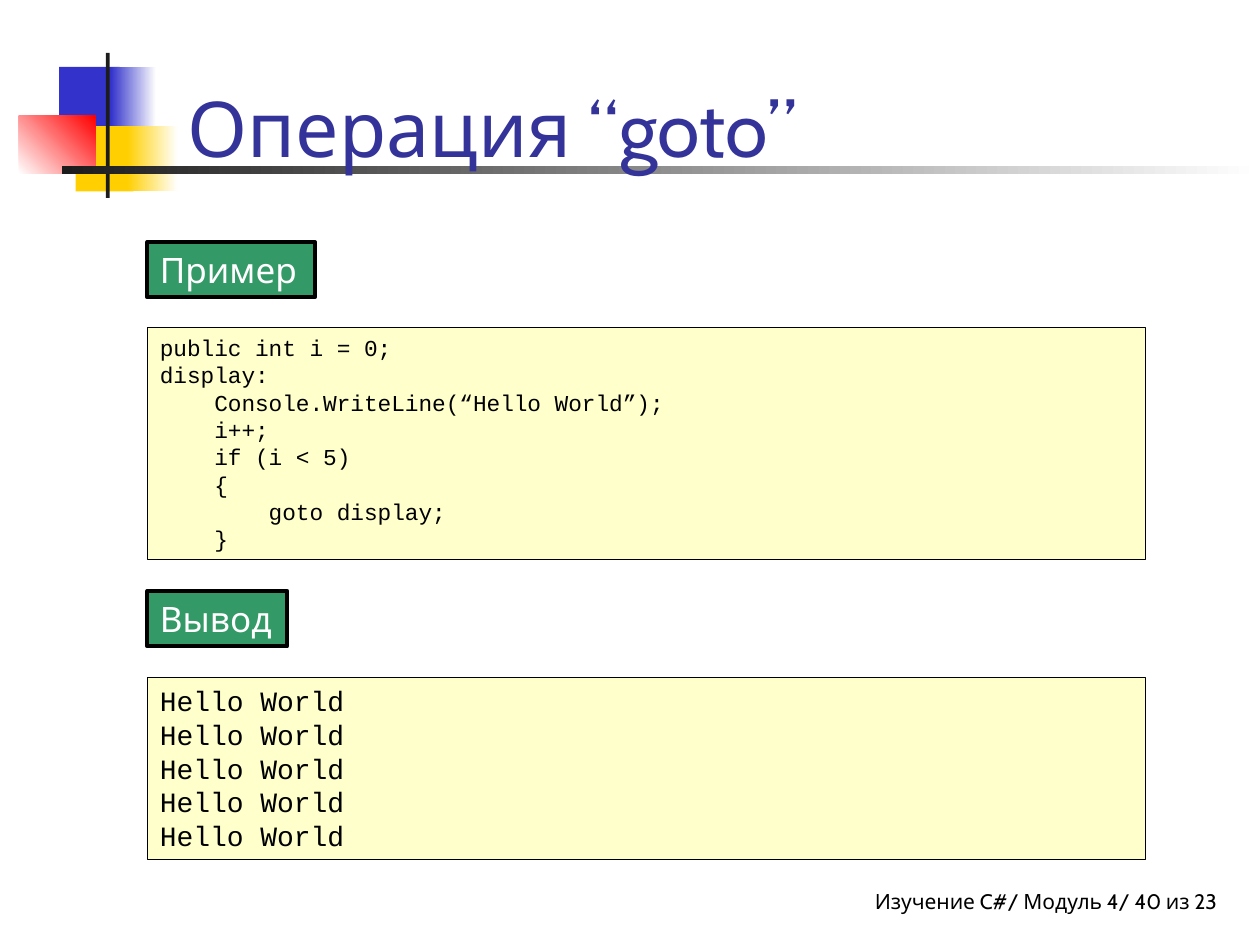
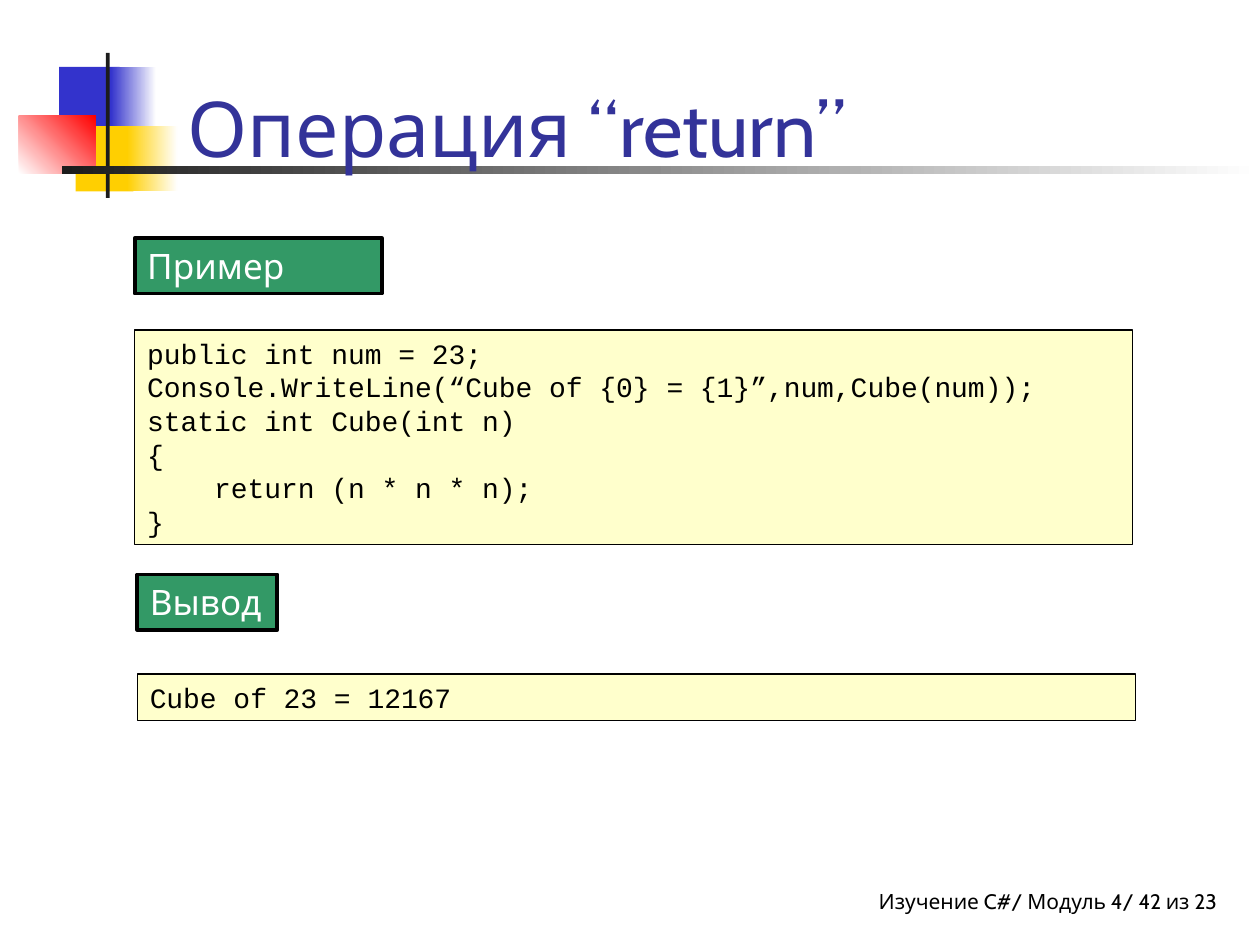
from pptx import Presentation
from pptx.dml.color import RGBColor
from pptx.enum.shapes import MSO_SHAPE as Shape
from pptx.enum.text import MSO_ANCHOR as Anchor, MSO_AUTO_SIZE as AutoSize, PP_ALIGN as Align
from pptx.util import Inches, Pt

TITLE_ONLY = 5
TITLE_AT = (1.39, 0.17, 8.52, 1.25)
FOOTER_AT = (4.58, 7, 5.08, 0.33)
LABEL_HEIGHT = 0.44
CODE_WIDTH = 7.92

TITLE_FONT = {"name": "Cabin", "size": 44, "color": "333399"}
FOOTER_FONT = {"name": "Cabin", "size": 12, "color": "000000"}
LABEL_FONT = {"name": "Cabin", "size": 20, "color": "FFFFFF"}
CODE_FONT = {"name": "Courier New", "color": "000000"}

EMBLEM = [
    ((0.47, 0.53, 0.48, 0.52), ["3333CC"], 0),
    ((0.88, 0.53, 0.36, 0.52), ["3333CC", "FFFFFF"], 0),
    ((0.6, 1, 0.46, 0.52), ["FFCF01"], 0),
    ((1.01, 1, 0.4, 0.52), ["FFCF01", "FFFFFF"], 0),
    ((0.15, 0.92, 0.61, 0.46), ["FFFFFF", "FF0000"], 45),
    ((0.84, 0.42, 0.03, 1.15), ["1C1C1C"], 0),
    ((0.49, 1.32, 9.51, 0.06), ["1C1C1C", "FFFFFF"], 0),
]

SLIDES = [
    {
        "title": "Операция “goto”",
        "number": 40,
        "sections": [
            {
                "label": "Пример", "label_at": (1.17, 1.92), "label_width": 1.33,
                "code_at": (1.17, 2.6), "code_height": 1.84, "code_size": 13,
                "code": [
                    "public int i = 0;",
                    "display:",
                    "    Console.WriteLine(“Hello World”);",
                    "    i++;",
                    "    if (i < 5)",
                    "    {",
                    "        goto display;",
                    "    }",
                ],
            },
            {
                "label": "Вывод", "label_at": (1.17, 4.69), "label_width": 1.11,
                "code_at": (1.17, 5.38), "code_height": 1.44, "code_size": 16,
                "code": ["Hello World"] * 5,
            },
        ],
    },
    {
        "title": "Операция “return”",
        "number": 42,
        "sections": [
            {
                "label": "Пример", "label_at": (1.07, 1.89), "label_width": 1.96,
                "code_at": (1.07, 2.62), "code_height": 1.7, "code_size": 16,
                "code": [
                    "public int num = 23;",
                    "Console.WriteLine(“Cube of {0} = {1}”,num,Cube(num));",
                    "static int Cube(int n)",
                    "{",
                    "    return (n * n * n);",
                    "}",
                ],
            },
            {
                "label": "Вывод", "label_at": (1.09, 4.56), "label_width": 1.11,
                "code_at": (1.09, 5.35), "code_height": 0.37, "code_size": 16,
                "code": ["Cube of 23 = 12167"],
            },
        ],
    },
]


def rgb(color):
    return RGBColor.from_string(color)


def inches(box):
    return [Inches(length) for length in box]


def write(frame, lines, font, align=Align.LEFT, **frame_format):
    settings = {"word_wrap": True, "auto_size": AutoSize.SHAPE_TO_FIT_TEXT,
                "vertical_anchor": Anchor.TOP, **frame_format}
    for key, value in settings.items():
        setattr(frame, key, value)
    for index, line in enumerate(lines):
        paragraph = frame.add_paragraph() if index else frame.paragraphs[0]
        paragraph.alignment = align
        run = paragraph.add_run()
        run.text = line
        run.font.name = font["name"]
        run.font.size = Pt(font["size"])
        run.font.color.rgb = rgb(font["color"])


def add_block(slide, box, colors, angle=0, border=None):
    block = slide.shapes.add_shape(Shape.RECTANGLE, *inches(box))
    block.shadow.inherit = False
    if len(colors) > 1:
        block.fill.gradient()
        block.fill.gradient_angle = angle
        for stop, color in zip(block.fill.gradient_stops, colors):
            stop.color.rgb = rgb(color)
    else:
        block.fill.solid()
        block.fill.fore_color.rgb = rgb(colors[0])
    if border:
        block.line.color.rgb = rgb("000000")
        block.line.width = Pt(border)
    else:
        block.line.fill.background()
    return block


def add_frame(slide, title_text, number):
    footer = slide.shapes.add_textbox(*inches(FOOTER_AT))
    write(footer.text_frame, [f"Изучение C#/ Модуль 4/ {number} из 23"], FOOTER_FONT,
          Align.RIGHT, margin_right=0)
    for box, colors, angle in EMBLEM:
        add_block(slide, box, colors, angle)
    title = slide.shapes.title
    title.left, title.top, title.width, title.height = inches(TITLE_AT)
    write(title.text_frame, [title_text], TITLE_FONT,
          auto_size=AutoSize.NONE, vertical_anchor=Anchor.BOTTOM)
    title.element.getparent().append(title.element)


def add_section(slide, section):
    label_box = (*section["label_at"], section["label_width"], LABEL_HEIGHT)
    label = add_block(slide, label_box, ["339966"], border=2.25)
    write(label.text_frame, [section["label"]], LABEL_FONT)
    code_box = (*section["code_at"], CODE_WIDTH, section["code_height"])
    code = add_block(slide, code_box, ["FFFFCC"], border=0.75)
    write(code.text_frame, section["code"], {**CODE_FONT, "size": section["code_size"]})


def main():
    deck = Presentation()
    deck.slide_width, deck.slide_height = Inches(10), Inches(7.5)
    for content in SLIDES:
        slide = deck.slides.add_slide(deck.slide_layouts[TITLE_ONLY])
        add_frame(slide, content["title"], content["number"])
        for section in content["sections"]:
            add_section(slide, section)
    deck.save("out.pptx")


if __name__ == "__main__":
    main()
